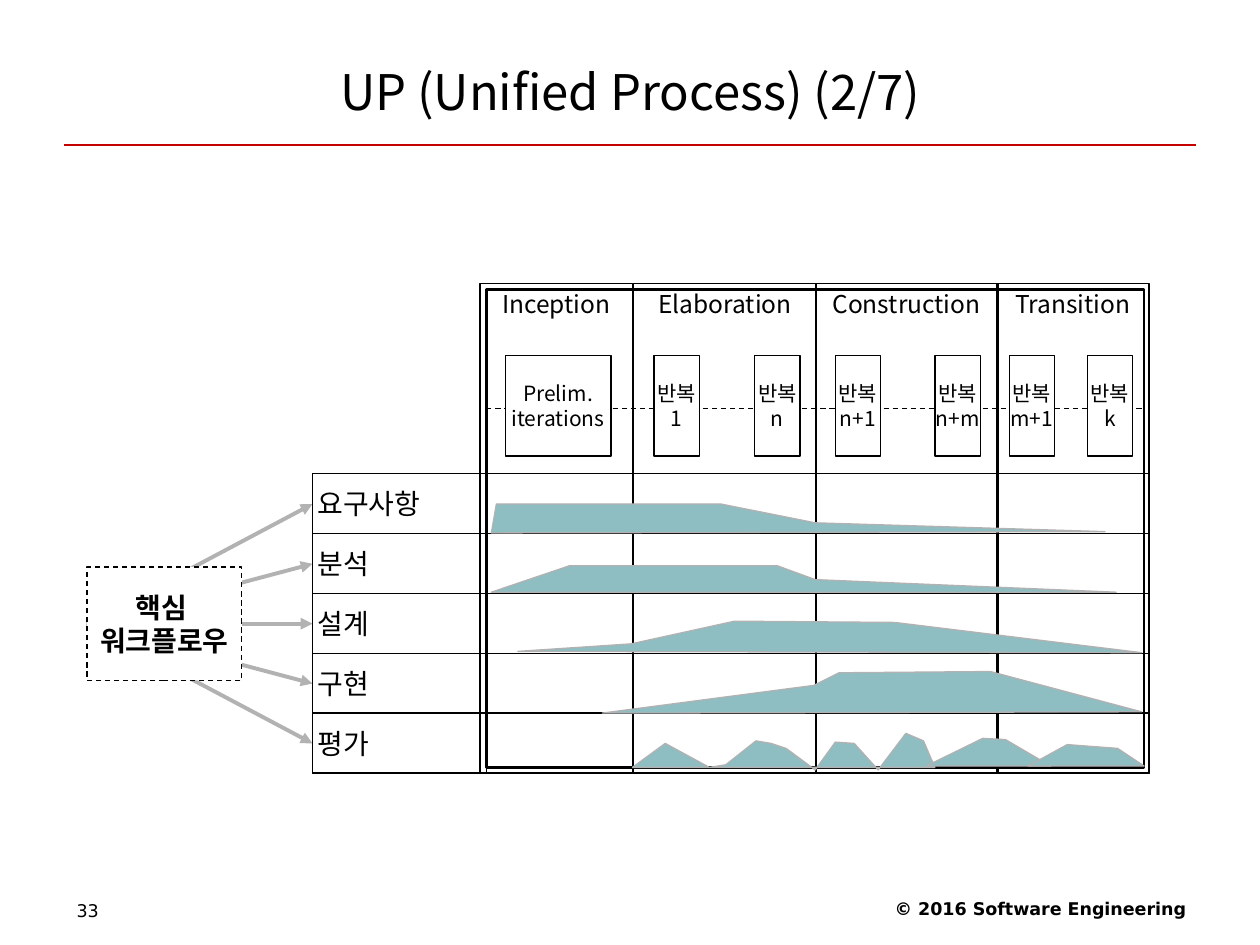
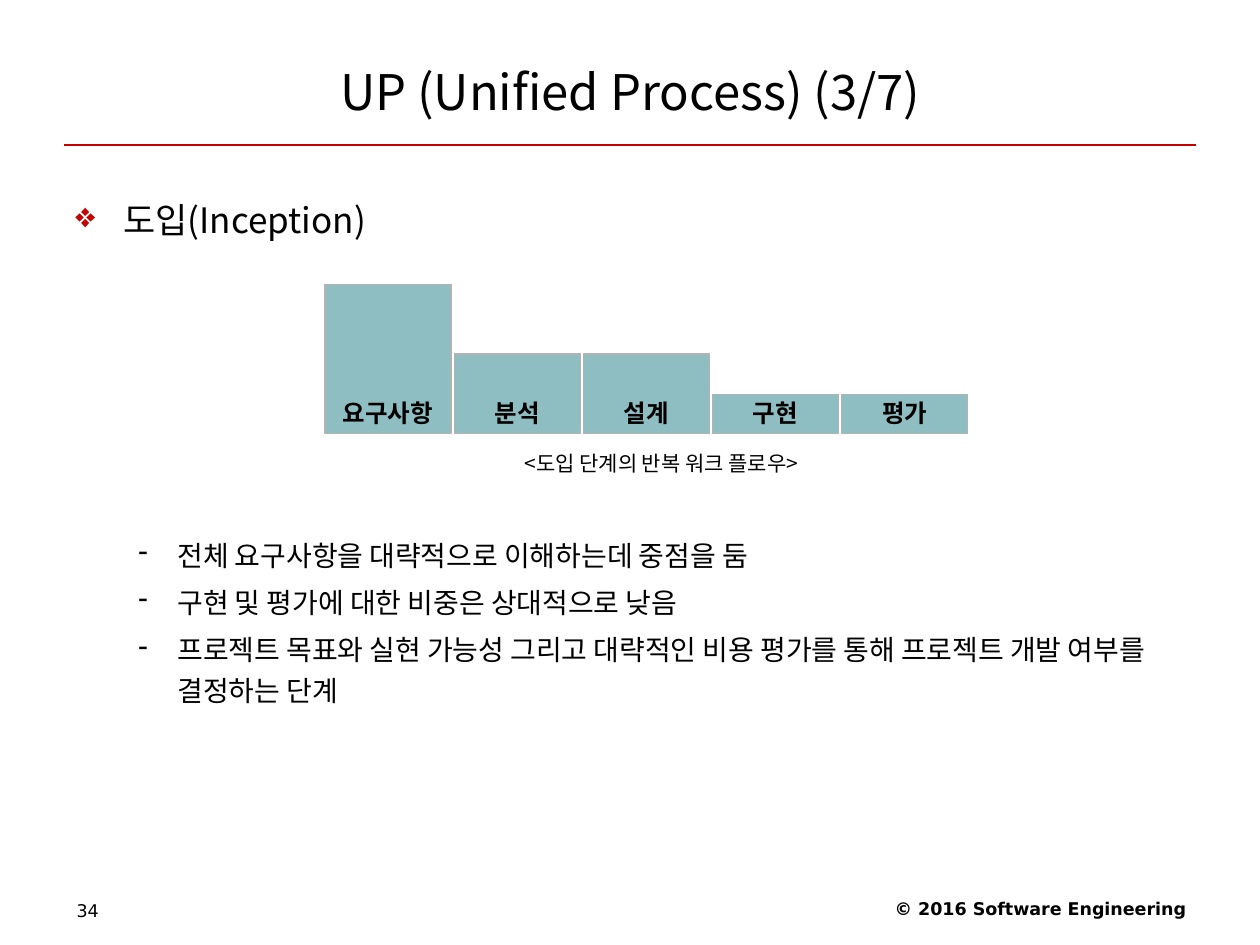
from lxml.etree import SubElement
from pptx import Presentation
from pptx.dml.color import RGBColor
from pptx.enum.dml import MSO_LINE
from pptx.enum.shapes import MSO_CONNECTOR, MSO_SHAPE
from pptx.enum.text import MSO_ANCHOR, PP_ALIGN
from pptx.oxml.ns import qn
from pptx.util import Inches, Pt

# Shared look
BLACK, WHITE, RED, GRAY, TEAL = "000000", "FFFFFF", "C40000", "B2B2B2", "8EBDC2"
KOREAN, LATIN = "Noto Sans CJK KR", "DejaVu Sans"
LEFT, CENTER, RIGHT = PP_ALIGN.LEFT, PP_ALIGN.CENTER, PP_ALIGN.RIGHT
TOP, MIDDLE, BOTTOM = MSO_ANCHOR.TOP, MSO_ANCHOR.MIDDLE, MSO_ANCHOR.BOTTOM
WORKFLOWS = ["요구사항", "분석", "설계", "구현", "평가"]


def style(sp, fill=None, line=BLACK, width=0.75, dash=None):
    """Set fill and outline of a shape or connector and drop its shadow."""
    sp.line.color.rgb = RGBColor.from_string(line)
    sp.line.width = Pt(width)
    if dash:
        sp.line.dash_style = dash
    if not hasattr(sp, "fill"):
        SubElement(sp._element.spPr, qn("a:effectLst"))
        return
    sp.shadow.inherit = False
    if fill:
        sp.fill.solid()
        sp.fill.fore_color.rgb = RGBColor.from_string(fill)
    else:
        sp.fill.background()


def write(sp, lines, size, align=CENTER, anchor=TOP, inset=(0.1, 0.05), wrap=True,
          bold=False, font=KOREAN, spacing=1.0, before=0, bullet=None, indent=None):
    """Fill a shape with one paragraph per line, with optional bullets."""
    tf = sp.text_frame
    side, edge = Inches(inset[0]), Inches(inset[1])
    frame = {"word_wrap": wrap, "vertical_anchor": anchor, "margin_left": side,
             "margin_right": side, "margin_top": edge, "margin_bottom": edge}
    for name, value in frame.items():
        setattr(tf, name, value)
    for i, line in enumerate(lines):
        p = tf.add_paragraph() if i else tf.paragraphs[0]
        p.alignment, p.line_spacing = align, spacing
        p.space_before = Pt(before if i else 0)
        if bullet:
            mark, color = bullet
            pPr = p._p.get_or_add_pPr()
            pPr.set("marL", str(Inches(indent[0])))
            pPr.set("indent", str(Inches(indent[1])))
            SubElement(SubElement(pPr, qn("a:buClr")), qn("a:srgbClr"), val=color)
            SubElement(pPr, qn("a:buChar"), char=mark)
        r = p.add_run()
        r.text = line
        for name, value in {"size": Pt(size), "bold": bold, "name": font}.items():
            setattr(r.font, name, value)
        r.font.color.rgb = RGBColor.from_string(BLACK)
        SubElement(r._r.get_or_add_rPr(), qn("a:ea"), typeface=font)


prs = Presentation()
prs.slide_width, prs.slide_height = Inches(10), Inches(7.5)

# Title, rule and footer of both slides
for part, number in [(2, "33"), (3, "34")]:
    s = prs.slides.add_slide(prs.slide_layouts[5])
    title = s.shapes.title
    title.left, title.top, title.width, title.height = map(Inches, (0.5, 0.3, 9, 0.85))
    write(title, [f"UP (Unified Process) ({part}/7)"], 28, anchor=MIDDLE)
    rule = s.shapes.add_connector(MSO_CONNECTOR.STRAIGHT, *map(Inches, (0.51, 1.15, 9.49, 1.15)))
    style(rule, line=RED)
    footer = s.shapes.add_textbox(*map(Inches, (6.34, 7.08, 3.17, 0.29)))
    write(footer, ["© 2016 Software Engineering"], 10, RIGHT, bold=True, font=LATIN)
    page = s.shapes.add_textbox(*map(Inches, (0.51, 7.09, 2.33, 0.28)))
    write(page, [number], 10, LEFT, font=LATIN)

# Slide 1: workflow arrows
s = prs.slides[0]
ROW_LEFT, ROW_TOP, ROW_H = 2.48, 3.76, 0.475
for i in range(len(WORKFLOWS)):
    end = 4 + i * ROW_H
    arrow = s.shapes.add_connector(MSO_CONNECTOR.STRAIGHT, *map(Inches, (0.69, 4.95, ROW_LEFT, end)))
    style(arrow, line=GRAY, width=2.25)
    SubElement(arrow.line._get_or_add_ln(), qn("a:tailEnd"), type="triangle")

# Inner frame
frame = s.shapes.add_shape(MSO_SHAPE.RECTANGLE, *map(Inches, (3.86, 2.3, 5.22, 3.79)))
style(frame, width=1.5)

# Workflow rows, each with a name cell
for i, name in enumerate(WORKFLOWS):
    for width, lines in [(6.64, [name]), (1.38, [])]:
        row = s.shapes.add_shape(
            MSO_SHAPE.RECTANGLE, *map(Inches, (ROW_LEFT, ROW_TOP + i * ROW_H, width, ROW_H)))
        style(row)
        write(row, lines, 16, LEFT, MIDDLE, (0.04, 0.04))

# Phase columns
phases = [("Inception", 3.81, 1.21), ("Elaboration", 5.03, 1.45),
          ("Construction", 6.47, 1.45), ("Transition", 7.91, 1.21)]
for name, left, width in phases:
    column = s.shapes.add_shape(MSO_SHAPE.RECTANGLE, *map(Inches, (left, 2.25, width, 3.89)))
    style(column)
    write(column, [name], 14, inset=(0.04, 0.04))

# Iterations on a dashed time line
timeline = s.shapes.add_connector(MSO_CONNECTOR.STRAIGHT, *map(Inches, (3.86, 3.24, 9.08, 3.24)))
style(timeline, dash=MSO_LINE.DASH)
iterations = [(4.01, 0.84, "Prelim.", "iterations")]
iterations += [(left, 0.36, "반복", step) for left, step in [
    (5.19, "1"), (5.99, "n"), (6.63, "n+1"), (7.42, "n+m"), (8.01, "m+1"), (8.63, "k")]]
for left, width, *lines in iterations:
    iteration = s.shapes.add_shape(MSO_SHAPE.RECTANGLE, *map(Inches, (left, 2.82, width, 0.8)))
    style(iteration, WHITE)
    write(iteration, lines, 12, anchor=MIDDLE, inset=(0, 0))

# Effort curves
efforts = [
    [(3.9, 4.23), (3.94, 4), (5.72, 4), (6.47, 4.15), (8.77, 4.22)],
    [(3.9, 4.7), (4.52, 4.49), (6.17, 4.49), (6.47, 4.6), (8.86, 4.7)],
    [(4.11, 5.17), (5.01, 5.11), (5.83, 4.93), (7.1, 4.94), (9.06, 5.18)],
    [(4.78, 5.66), (6.46, 5.44), (6.66, 5.34), (7.86, 5.33), (9.06, 5.65)],
    [(5.02, 6.09), (5.28, 5.9), (5.63, 6.09), (5.76, 6.07), (6, 5.88), (6.12, 5.9),
     (6.24, 5.94), (6.47, 6.11), (6.63, 5.89), (6.78, 5.9), (6.97, 6.11), (7.19, 5.82),
     (7.33, 5.88), (7.42, 6.09)],
    [(7.35, 6.08), (7.8, 5.86), (7.98, 5.87), (8.34, 6.08)],
    [(8.16, 6.08), (8.47, 5.91), (8.87, 5.94), (9.08, 6.08)],
]
for points in efforts:
    start, *rest = [(Inches(x), Inches(y)) for x, y in points]
    builder = s.shapes.build_freeform(*start)
    builder.add_line_segments(rest, close=True)
    style(builder.convert_to_shape(), TEAL, GRAY)

# Core workflow box
core = s.shapes.add_shape(MSO_SHAPE.RECTANGLE, *map(Inches, (0.69, 4.5, 1.23, 0.9)))
style(core, WHITE, dash=MSO_LINE.DASH)
write(core, ["핵심 ", "워크플로우"], 16, anchor=MIDDLE, inset=(0, 0), bold=True)

# Slide 2: heading
s = prs.slides[1]
heading = s.shapes.add_textbox(*map(Inches, (0.5, 1.39, 9, 0.6)))
write(heading, ["도입(Inception)"], 20, LEFT, spacing=1.4, bullet=("❖", RED), indent=(0.38, -0.38))

# Workflow weights as bars on one base line
BASE = 3.44
for i, (name, height) in enumerate(zip(WORKFLOWS, [1.18, 0.63, 0.63, 0.31, 0.31])):
    left = 2.58 + i * 1.025
    bar = s.shapes.add_shape(MSO_SHAPE.RECTANGLE, *map(Inches, (left, BASE - height, 1, height)))
    style(bar, TEAL, GRAY)
    write(bar, [name], 14, anchor=BOTTOM, wrap=False, bold=True)

caption = s.shapes.add_textbox(*map(Inches, (2.25, 3.53, 6, 0.3)))
write(caption, ["<도입 단계의 반복 워크 플로우>"], 12)

# Points about the phase
notes = s.shapes.add_textbox(*map(Inches, (0.5, 4.17, 9, 1.6)))
write(notes, [
    "전체 요구사항을 대략적으로 이해하는데 중점을 둠",
    "구현 및 평가에 대한 비중은 상대적으로 낮음",
    "프로젝트 목표와 실현 가능성 그리고 대략적인 비용 평가를 통해 프로젝트 개발 여부를 결정하는 단계",
], 16, LEFT, spacing=1.2, before=4, bullet=("-", BLACK), indent=(0.81, -0.31))

prs.save("out.pptx")
